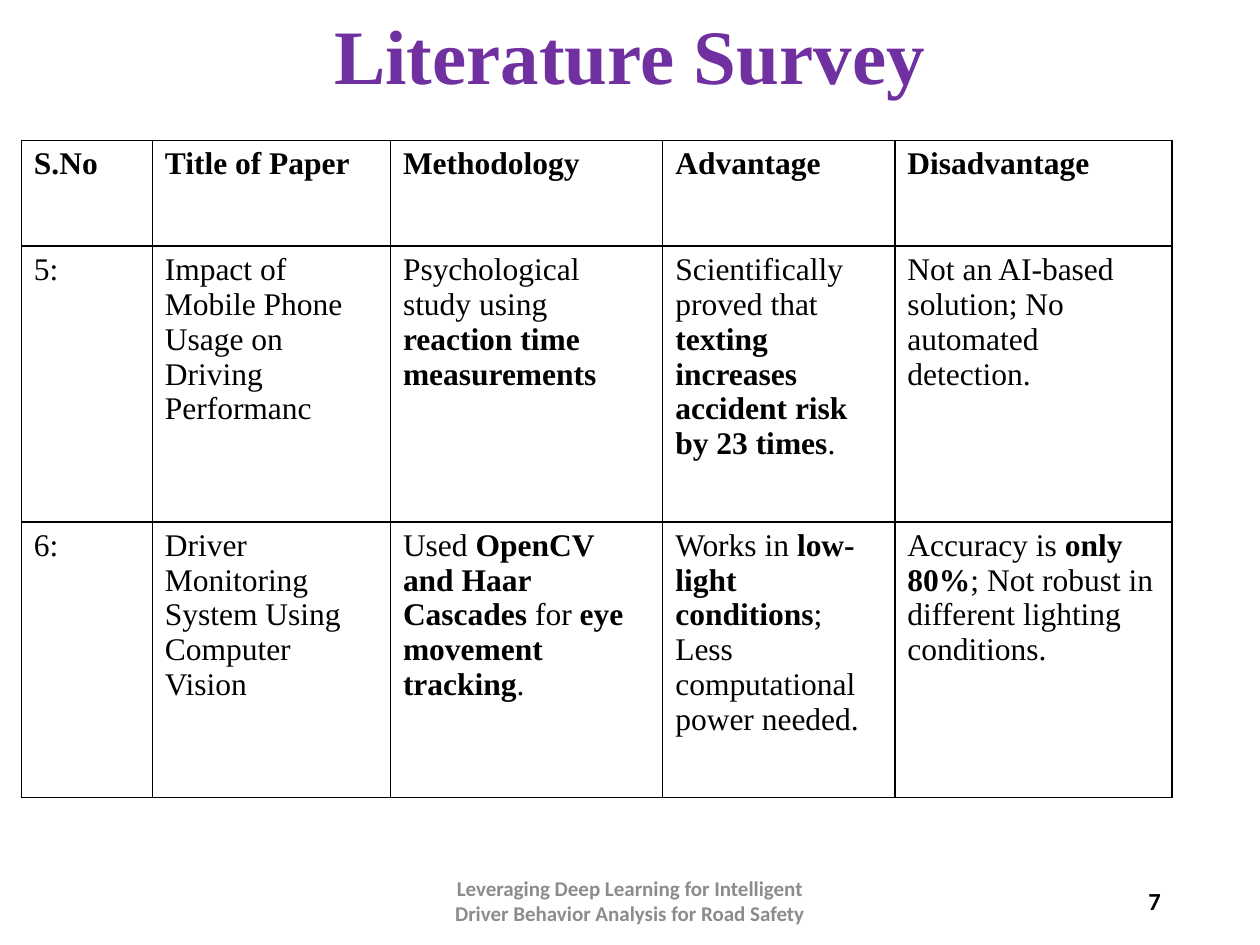
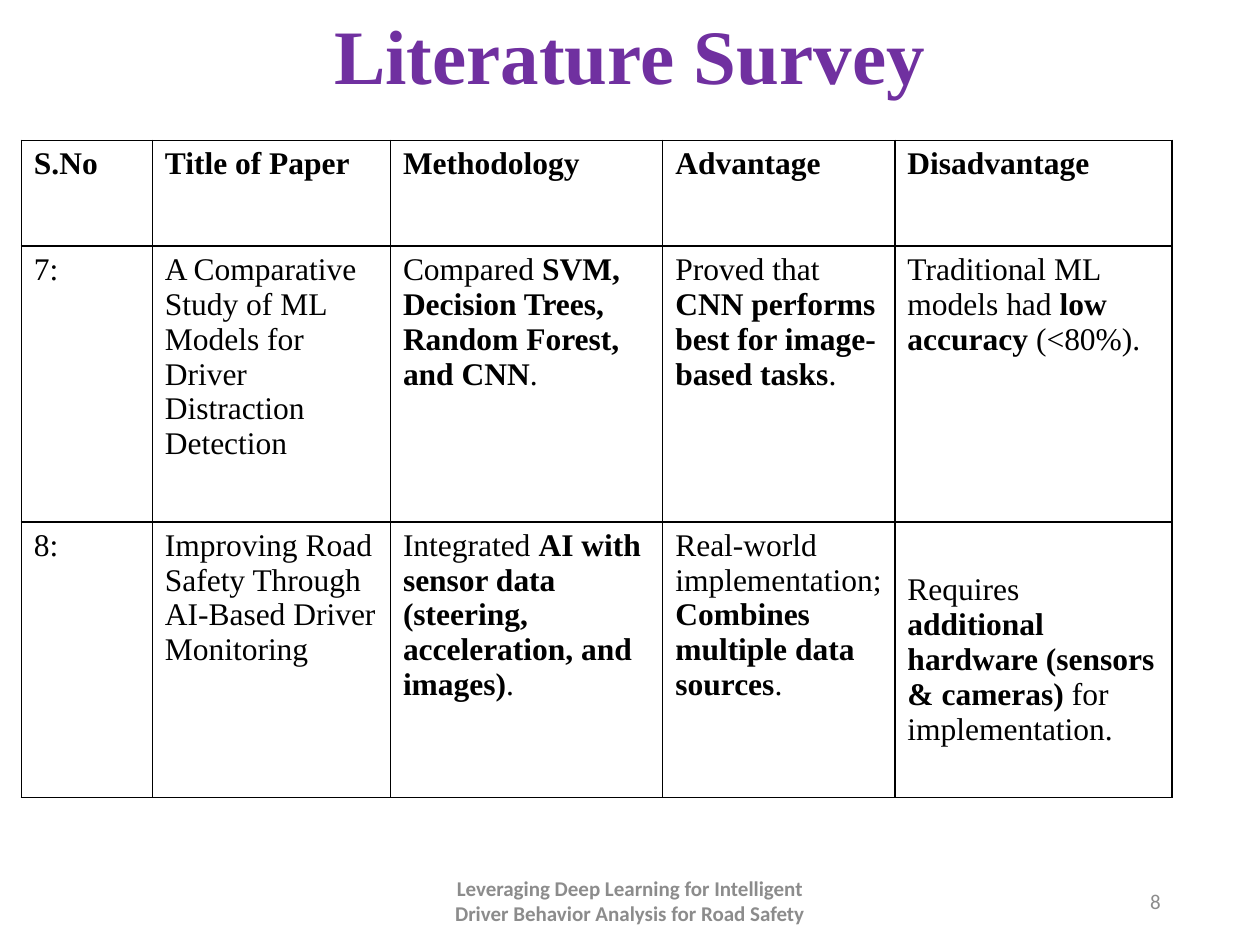
"""Builds two literature survey slides, each with a table of reviewed papers."""
from lxml import etree
from pptx import Presentation
from pptx.dml.color import RGBColor
from pptx.enum.text import MSO_ANCHOR, MSO_AUTO_SIZE, PP_ALIGN
from pptx.oxml.ns import qn
from pptx.util import Cm, Pt

CENTER, RIGHT = PP_ALIGN.CENTER, PP_ALIGN.RIGHT
TOP, MIDDLE = MSO_ANCHOR.TOP, MSO_ANCHOR.MIDDLE
NO_AUTOFIT = MSO_AUTO_SIZE.NONE
TITLE_ONLY = 5

PURPLE, BLACK, GREY = "7030A0", "000000", "8C8C8C"
TITLE_FORMAT = {"name": "Times New Roman", "size": Pt(44), "bold": True, "color": PURPLE}
TABLE_FORMAT = {"name": "Times New Roman", "size": Pt(18), "color": BLACK}
FOOTER_FORMAT = {"name": "Calibri", "size": Pt(12), "bold": True, "color": GREY}

TITLE = "Literature Survey"
FOOTER = "Leveraging Deep Learning for Intelligent Driver Behavior Analysis for Road Safety"
HEADER = ["**S.No**", "**Title of Paper**", "**Methodology**", "**Advantage**", "**Disadvantage**"]
COLUMN_WIDTHS = [2.64, 4.8, 5.49, 4.68, 5.59]
ROW_HEIGHTS = [2.13, 5.56, 5.56]

SURVEY_SLIDES = [
    {
        "number": "7",
        "number_format": {**FOOTER_FORMAT, "size": Pt(14), "color": BLACK},
        "middle_cells": [],
        "papers": [
            ["5:",
             "Impact of Mobile Phone Usage on Driving Performanc",
             "Psychological study using **reaction time measurements**",
             "Scientifically proved that **texting increases accident risk by 23 times**.",
             "Not an AI-based solution; No automated detection."],
            ["6:",
             "Driver Monitoring System Using Computer Vision",
             "Used **OpenCV and Haar Cascades** for **eye movement tracking**.",
             "Works in **low-light conditions**; Less computational power needed.",
             "Accuracy is **only 80%**; Not robust in different lighting conditions."],
        ],
    },
    {
        "number": "8",
        "number_format": {**FOOTER_FORMAT, "bold": False},
        "middle_cells": [(2, 4)],
        "papers": [
            ["7:",
             "A Comparative Study of ML Models for Driver Distraction Detection",
             "Compared **SVM, Decision Trees, Random Forest, and CNN**.",
             "Proved that **CNN performs best for image-based tasks**.",
             "Traditional ML models had **low accuracy** (<80%)."],
            ["8:",
             "Improving Road Safety Through AI-Based Driver Monitoring",
             "Integrated **AI with sensor data (steering, acceleration, and images)**.",
             "Real-world implementation; **Combines multiple data sources**.",
             "Requires **additional hardware (sensors & cameras)** for implementation."],
        ],
    },
]


def write_text(paragraph, text, font_format):
    """Write text as runs, with the parts between double asterisks in bold."""
    for index, part in enumerate(text.split("**")):
        if not part:
            continue
        run = paragraph.add_run()
        run.text = part
        for name, value in {"bold": index % 2 == 1, **font_format}.items():
            if name == "color":
                run.font.color.rgb = RGBColor.from_string(value)
            else:
                setattr(run.font, name, value)


def add_borders(cell, color):
    """Draw a one point line on each side of a table cell."""
    properties = cell._tc.get_or_add_tcPr()
    for side in ("a:lnL", "a:lnR", "a:lnT", "a:lnB"):
        line = etree.SubElement(properties, qn(side), w=str(Pt(1)))
        fill = etree.SubElement(line, qn("a:solidFill"))
        etree.SubElement(fill, qn("a:srgbClr"), val=color)


presentation = Presentation()
presentation.slide_width, presentation.slide_height = Cm(25.4), Cm(19.05)

for survey in SURVEY_SLIDES:
    slide = presentation.slides.add_slide(presentation.slide_layouts[TITLE_ONLY])
    title = slide.shapes.title
    title.left, title.top, title.width, title.height = Cm(1.75), Cm(0.46), Cm(21.9), Cm(1.47)
    footer = slide.shapes.add_textbox(Cm(8.41), Cm(17.65), Cm(8.58), Cm(1.02))
    number = slide.shapes.add_textbox(Cm(17.93), Cm(17.65), Cm(5.72), Cm(1.02))

    for shape, text, alignment, font_format in [
        (title, TITLE, CENTER, TITLE_FORMAT),
        (footer, FOOTER, CENTER, FOOTER_FORMAT),
        (number, survey["number"], RIGHT, survey["number_format"]),
    ]:
        frame = shape.text_frame
        for name, value in {"word_wrap": True, "auto_size": NO_AUTOFIT, "vertical_anchor": MIDDLE}.items():
            setattr(frame, name, value)
        frame.paragraphs[0].alignment = alignment
        write_text(frame.paragraphs[0], text, font_format)
    title.text_frame.paragraphs[0].line_spacing = 0.9

    rows = [HEADER, *survey["papers"]]
    table = slide.shapes.add_table(
        len(rows), len(HEADER), Cm(0.43), Cm(2.83),
        Cm(sum(COLUMN_WIDTHS)), Cm(sum(ROW_HEIGHTS))).table
    table.first_row = table.horz_banding = False
    for column, width in zip(table.columns, COLUMN_WIDTHS):
        column.width = Cm(width)
    for row_index, (texts, height) in enumerate(zip(rows, ROW_HEIGHTS)):
        table.rows[row_index].height = Cm(height)
        for column_index, text in enumerate(texts):
            cell = table.cell(row_index, column_index)
            add_borders(cell, BLACK)
            cell.fill.background()
            cell.vertical_anchor = MIDDLE if (row_index, column_index) in survey["middle_cells"] else TOP
            write_text(cell.text_frame.paragraphs[0], text, TABLE_FORMAT)

presentation.save("out.pptx")
